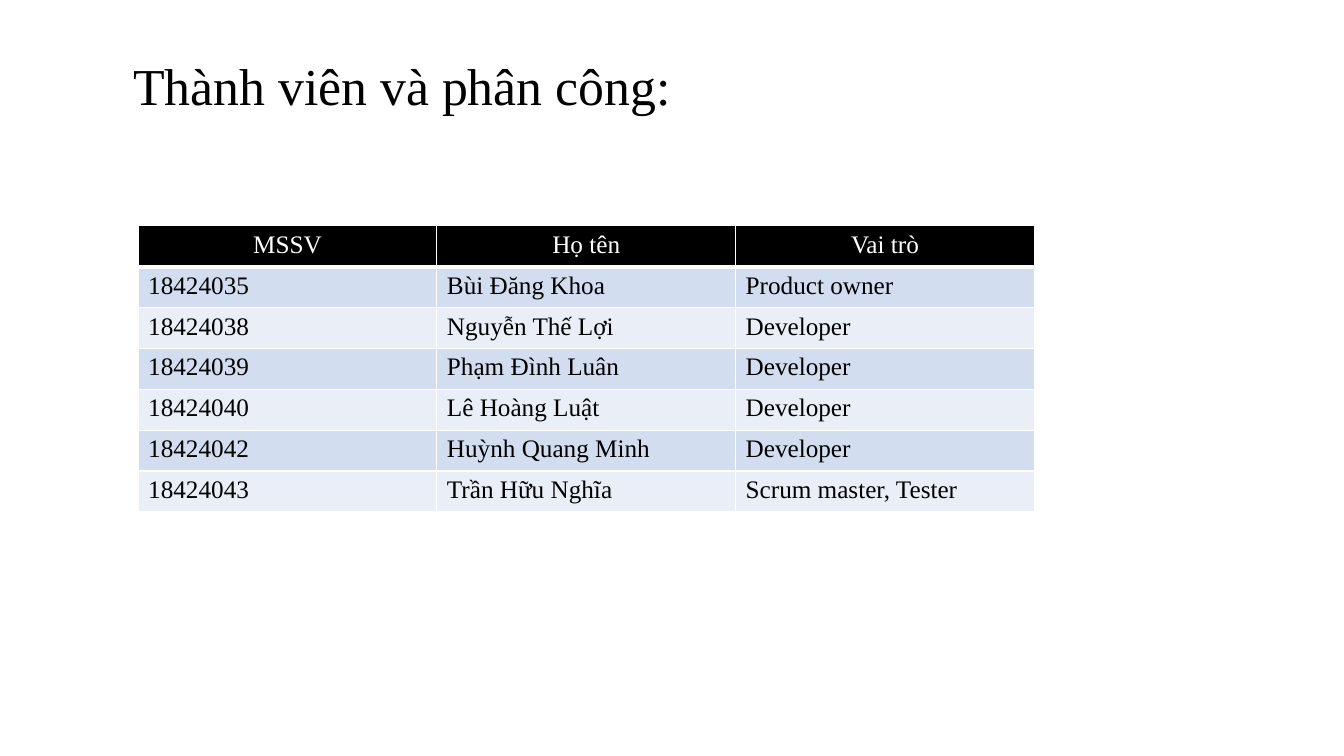
from dataclasses import dataclass

from lxml import etree
from pptx import Presentation
from pptx import util as u
from pptx.dml.color import RGBColor
from pptx.enum import text
from pptx.oxml.ns import qn


@dataclass(frozen=True)
class Theme:
    font: str = "Times New Roman"
    ink: str = "000000"
    paper: str = "FFFFFF"
    bands: tuple = ("D2DEEF", "EAEFF7")
    title_size: int = 37
    table_size: int = 18
    rule: int = 1
    header_rule: int = 3


class SlideBuilder:
    def __init__(self, deck, theme):
        self.theme = theme
        self.page = deck.slides.add_slide(deck.slide_layouts[5])

    def add_span(self, para, words, size, color):
        span = para.add_run()
        span.text = words
        span.font.name = self.theme.font
        span.font.size = u.Pt(size)
        span.font.bold = False
        span.font.color.rgb = RGBColor.from_string(color)

    def title(self, words, left, top, width, height):
        box = self.page.shapes.title
        box.left, box.top = u.Inches(left), u.Inches(top)
        box.width, box.height = u.Inches(width), u.Inches(height)
        frame = box.text_frame
        frame.word_wrap = True
        frame.auto_size = text.MSO_AUTO_SIZE.NONE
        frame.vertical_anchor = text.MSO_ANCHOR.MIDDLE
        frame.margin_bottom = u.Inches(0.58)
        para = frame.paragraphs[0]
        para.alignment = text.PP_ALIGN.LEFT
        para.line_spacing = 0.9
        self.add_span(para, words, self.theme.title_size, self.theme.ink)

    def borders(self, cell, bottom_width):
        properties = cell._tc.get_or_add_tcPr()
        sides = ("a:lnL", "a:lnR", "a:lnT", "a:lnB")
        for index, side in enumerate(sides):
            width = bottom_width if side == "a:lnB" else self.theme.rule
            line = etree.Element(qn(side), w=str(u.Pt(width)))
            fill = etree.SubElement(line, qn("a:solidFill"))
            etree.SubElement(fill, qn("a:srgbClr"), val=self.theme.paper)
            properties.insert(index, line)

    def table(self, rows, left, top, width, height):
        theme = self.theme
        grid = self.page.shapes.add_table(
            len(rows), len(rows[0]), u.Inches(left), u.Inches(top),
            u.Inches(width), u.Inches(height)).table
        for row_index, values in enumerate(rows):
            header = row_index == 0
            fill = theme.ink if header else theme.bands[(row_index - 1) % 2]
            for column_index, words in enumerate(values):
                cell = grid.cell(row_index, column_index)
                cell.fill.solid()
                cell.fill.fore_color.rgb = RGBColor.from_string(fill)
                self.borders(cell, theme.header_rule if header else theme.rule)
                para = cell.text_frame.paragraphs[0]
                para.alignment = (text.PP_ALIGN.CENTER if header
                                  else text.PP_ALIGN.LEFT)
                self.add_span(para, words, theme.table_size,
                              theme.paper if header else theme.ink)


MEMBERS = [
    ("MSSV", "Họ tên", "Vai trò"),
    ("18424035", "Bùi Đăng Khoa", "Product owner"),
    ("18424038", "Nguyễn Thế Lợi", "Developer"),
    ("18424039", "Phạm Đình Luân", "Developer"),
    ("18424040", "Lê Hoàng Luật", "Developer"),
    ("18424042", "Huỳnh Quang Minh", "Developer"),
    ("18424043", "Trần Hữu Nghĩa", "Scrum master, Tester"),
]


def main():
    deck = Presentation()
    deck.slide_width, deck.slide_height = u.Inches(13.33), u.Inches(7.5)
    builder = SlideBuilder(deck, Theme())
    builder.title("Thành viên và phân công:", 1.22, 0.23, 7.14, 1.83)
    builder.table(MEMBERS, 1.37, 2.24, 8.89, 2.84)
    deck.save("out.pptx")


if __name__ == "__main__":
    main()
